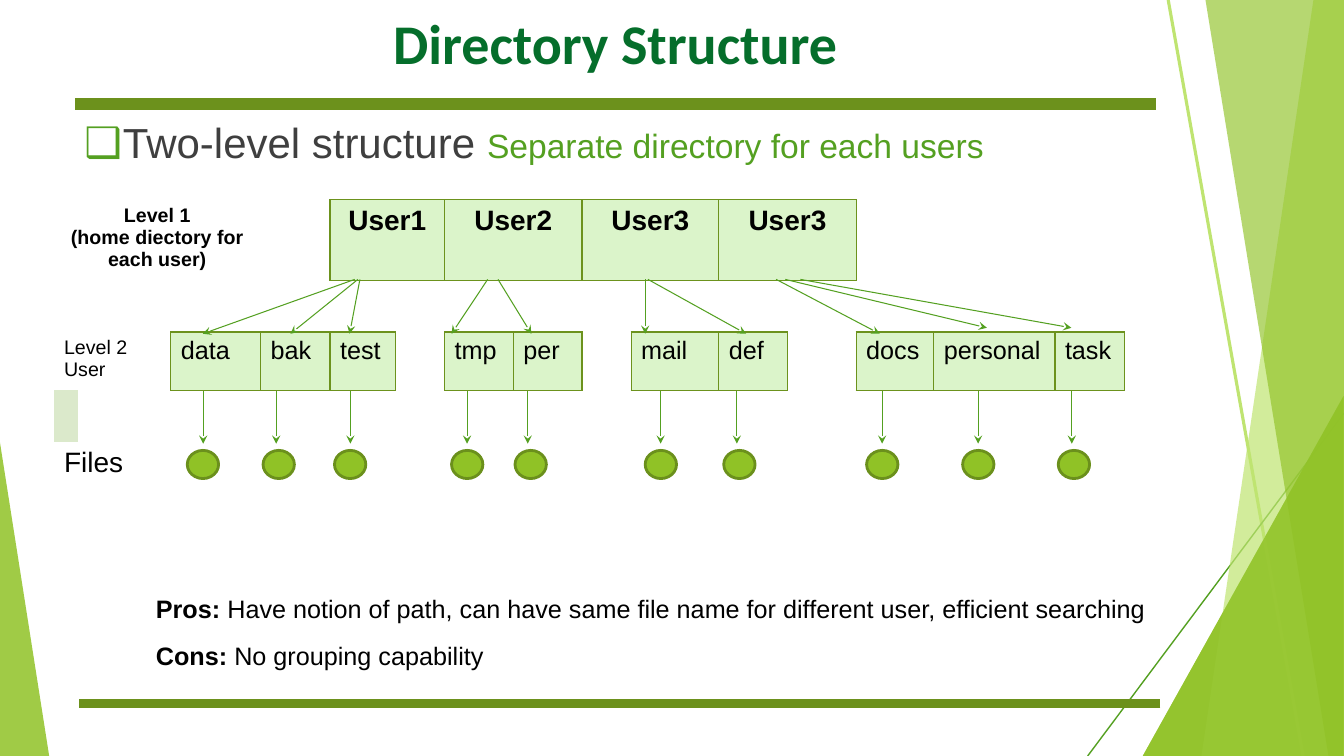
from lxml import etree
from pptx import Presentation
from pptx import util as u
from pptx.dml.color import RGBColor
from pptx.enum import shapes, text
from pptx.oxml.ns import qn

COLORS = {
    "leaf": "90C226", "lime": "BFE471", "stem": "54A021", "bar": "6C911C",
    "title": "056E2B", "gray": "3F3F3F", "black": "000000", "cell": "DBF4CA",
    "border": "6C921D", "rim": "6B901C", "marker": "DBE9CB",
}
NO_STYLE = "{2D5ABB26-0587-4C30-8999-92F81FD0307C}"
COLUMNS = [0.58, 0.33, 1.73, 2.26, 1.75, 1.65, 1.24, 1.73, 1.73,
           1.24, 2.21, 1.73, 1.73, 1.96, 3.05, 1.75, 0.64, 1.22]
ROWS = [1.96, 1.3, 1.47, 1.3, 1.8]
USERS = {5: "User1", 7: "User2", 9: "User3", 11: "User3"}
ENTRIES = {3: "data", 4: "bak", 5: "test", 7: "tmp", 8: "per", 10: "mail",
           11: "def", 13: "docs", 14: "personal", 15: "task"}
# left edge of each file dot, x of the arrow above it
FILES = [(4.72, 5.12), (6.63, 6.96), (8.43, 8.83), (11.38, 11.77), (12.98, 13.3),
         (16.26, 16.65), (18.24, 18.57), (21.84, 22.23), (24.26, 24.65), (26.67, 27.01)]
# x below the user, x and y above the entry
LINKS = [(8.94, 5.11, 8.41), (9.02, 7.32, 8.41), (9.07, 8.81, 8.41),
         (12.29, 11.38, 8.41), (12.55, 13.39, 8.41),
         (16.26, 16.26, 8.41), (16.33, 18.8, 8.41),
         (19.56, 22.17, 8.41), (19.79, 24.87, 8.26), (20.17, 27.0, 8.26)]


def rgb(name):
    return RGBColor.from_string(COLORS[name])


def child(parent, tag, **attrs):
    return etree.SubElement(parent, qn(tag), attrs)


def paint(sp, color, alpha=None):
    """Fill a shape without outline; alpha is a percentage."""
    sp.shadow.inherit = False
    sp.fill.solid()
    sp.fill.fore_color.rgb = rgb(color)
    sp.line.fill.background()
    if alpha:
        clr = sp._element.spPr.find(qn("a:solidFill"))[0]
        child(clr, "a:alpha", val=str(alpha * 1000))


def add_preset(s, kind, box, color, alpha=None, adj=None):
    sp = s.shapes.add_shape(kind, *map(u.Cm, box))
    if adj is not None:
        sp.adjustments[0] = adj
    paint(sp, color, alpha)
    return sp


def add_outline(s, points, color, alpha):
    pts = [(u.Cm(x), u.Cm(y)) for x, y in points]
    fb = s.shapes.build_freeform(*pts[0], scale=1.0)
    fb.add_line_segments(pts[1:], close=True)
    paint(fb.convert_to_shape(), color, alpha)


def add_line(s, start, end, color, width, arrow=False):
    ends = map(u.Cm, (*start, *end))
    c = s.shapes.add_connector(shapes.MSO_CONNECTOR.STRAIGHT, *ends)
    c.line.color.rgb = rgb(color)
    c.line.width = u.Pt(width)
    child(c._element.spPr, "a:effectLst")
    if arrow:
        child(c.line._get_or_add_ln(), "a:tailEnd", type="stealth")


def add_run(p, words, color="black", **font):
    r = p.add_run()
    r.text = words
    r.font.color.rgb = rgb(color)
    for name, value in {"name": "Arial", "bold": False, **font}.items():
        setattr(r.font, name, value)


def add_text(s, box, inset_y=0.13):
    """Add an empty text box and return its first paragraph."""
    tf = s.shapes.add_textbox(*map(u.Cm, box)).text_frame
    settings = {"word_wrap": True, "vertical_anchor": text.MSO_ANCHOR.TOP,
                "margin_top": u.Cm(inset_y), "margin_bottom": u.Cm(inset_y)}
    for name, value in settings.items():
        setattr(tf, name, value)
    return tf.paragraphs[0]


def add_bullet(p, char, color):
    pPr = p._p.get_or_add_pPr()
    pPr.set("marL", str(u.Cm(0.97)))
    pPr.set("indent", str(-u.Cm(1.17)))
    child(child(pPr, "a:buClr"), "a:srgbClr", val=COLORS[color])
    child(pPr, "a:buFont", typeface="Arial")
    child(pPr, "a:buChar", char=char)


def fill_cell(cell, lines=(), size=18, bold=False, align=text.PP_ALIGN.LEFT):
    for i, words in enumerate(lines):
        tf = cell.text_frame
        p = tf.add_paragraph() if i else tf.paragraphs[0]
        p.alignment = align
        add_run(p, words, size=u.Pt(size), bold=bold)


def frame_cell(cell):
    """Give a directory cell its green edges and pale fill."""
    tcPr = cell._tc.get_or_add_tcPr()
    for side in "LRTB":
        ln = child(tcPr, f"a:ln{side}", w=str(u.Pt(1)))
        child(child(ln, "a:solidFill"), "a:srgbClr", val=COLORS["border"])
    cell.fill.solid()
    cell.fill.fore_color.rgb = rgb("cell")


def add_directory_table(s):
    box = map(u.Cm, (1.36, 5.03, sum(COLUMNS), sum(ROWS)))
    table = s.shapes.add_table(len(ROWS), len(COLUMNS), *box).table
    table.first_row = table.horz_banding = False
    table._tbl.tblPr.find(qn("a:tableStyleId")).text = NO_STYLE
    for col, width in zip(table.columns, COLUMNS):
        col.width = u.Cm(width)
    for row, height in zip(table.rows, ROWS):
        row.height = u.Cm(height)
    for cell in table.iter_cells():
        cell.fill.background()

    user_spans = [(0, c, c + 1) for c in USERS]
    label_spans = [(0, 0, 3), (1, 0, 1), (2, 0, 2), (3, 1, 2), (4, 0, 2)]
    for row, first, last in label_spans + user_spans:
        table.cell(row, first).merge(table.cell(row, last))

    center = text.PP_ALIGN.CENTER
    fill_cell(table.cell(0, 0), ["Level 1", "(home diectory for each user)"], 14, True, center)
    fill_cell(table.cell(2, 0), ["Level 2", "User"], 14)
    fill_cell(table.cell(4, 0), ["Files"], 20)
    for c, name in USERS.items():
        fill_cell(table.cell(0, c), [name], 20, True, center)
        frame_cell(table.cell(0, c))
        frame_cell(table.cell(0, c + 1))
    for c, name in ENTRIES.items():
        fill_cell(table.cell(2, c), [name])
        frame_cell(table.cell(2, c))
    marker = table.cell(3, 0)
    marker.fill.solid()
    marker.fill.fore_color.rgb = rgb("marker")


def add_backdrop(s):
    triangle = shapes.MSO_SHAPE.ISOSCELES_TRIANGLE
    corner = (triangle, (28.8, 9.98, 5.06, 9.07), "leaf", 80, 1)
    add_preset(s, *corner)
    add_preset(s, triangle, (0, 11.15, 1.24, 7.9), "leaf", 85, 0)
    add_line(s, (29.44, 0), (32.84, 19.05), "lime", 2.25)
    add_line(s, (33.87, 10.41), (27.41, 19.05), "stem", 1)
    add_outline(s, [(33.1, 0), (33.87, 0), (33.87, 19.05), (30.28, 19.05)], "lime", 70)
    add_outline(s, [(30.38, 0), (33.87, 0), (33.87, 19.05), (33.48, 19.05)], "leaf", 65)
    add_preset(s, *corner)
    add_line(s, (29.13, 2.62), (1.88, 2.62), "bar", 8.75)
    add_line(s, (29.24, 17.73), (1.98, 17.73), "bar", 6)


def add_files_and_links(s):
    for left, x in FILES:
        dot = add_preset(s, shapes.MSO_SHAPE.OVAL, (left, 11.35, 0.79, 0.71), "leaf")
        dot.line.color.rgb = rgb("rim")
        dot.line.width = u.Pt(2)
        add_line(s, (x, 9.86), (x, 11.18), "stem", 0.75, arrow=True)
    for x, end_x, end_y in LINKS:
        add_line(s, (x, 7.04), (end_x, end_y), "stem", 0.75, arrow=True)


def main():
    prs = Presentation()
    prs.slide_width, prs.slide_height = u.Cm(33.87), u.Cm(19.05)
    s = prs.slides.add_slide(prs.slide_layouts[6])
    add_backdrop(s)

    p = add_text(s, (1.88, 0.08, 27.25, 2.57))
    p.alignment = text.PP_ALIGN.CENTER
    add_run(p, "Directory Structure", "title", name="Calibri", size=u.Pt(40), bold=True)

    p = add_text(s, (1.88, 2.92, 27.25, 1.5))
    p.line_spacing = 0.94
    add_bullet(p, "❑", "stem")
    add_run(p, "Two-level structure ", "gray", size=u.Pt(30))
    add_run(p, "Separate directory for each users", "stem", size=u.Pt(24))

    remarks = [("Pros: ", "Have notion of path, can have same file name for different user, "
                "efficient searching"), ("Cons: ", "No grouping capability")]
    for i, (label, remark) in enumerate(remarks):
        p = add_text(s, (3.68, 14.71 + 1.17 * i, 25.83, 1.32), 0.25)
        add_run(p, label, size=u.Pt(18), bold=True)
        add_run(p, remark, size=u.Pt(18))

    add_directory_table(s)
    add_files_and_links(s)
    prs.save("out.pptx")


if __name__ == "__main__":
    main()
